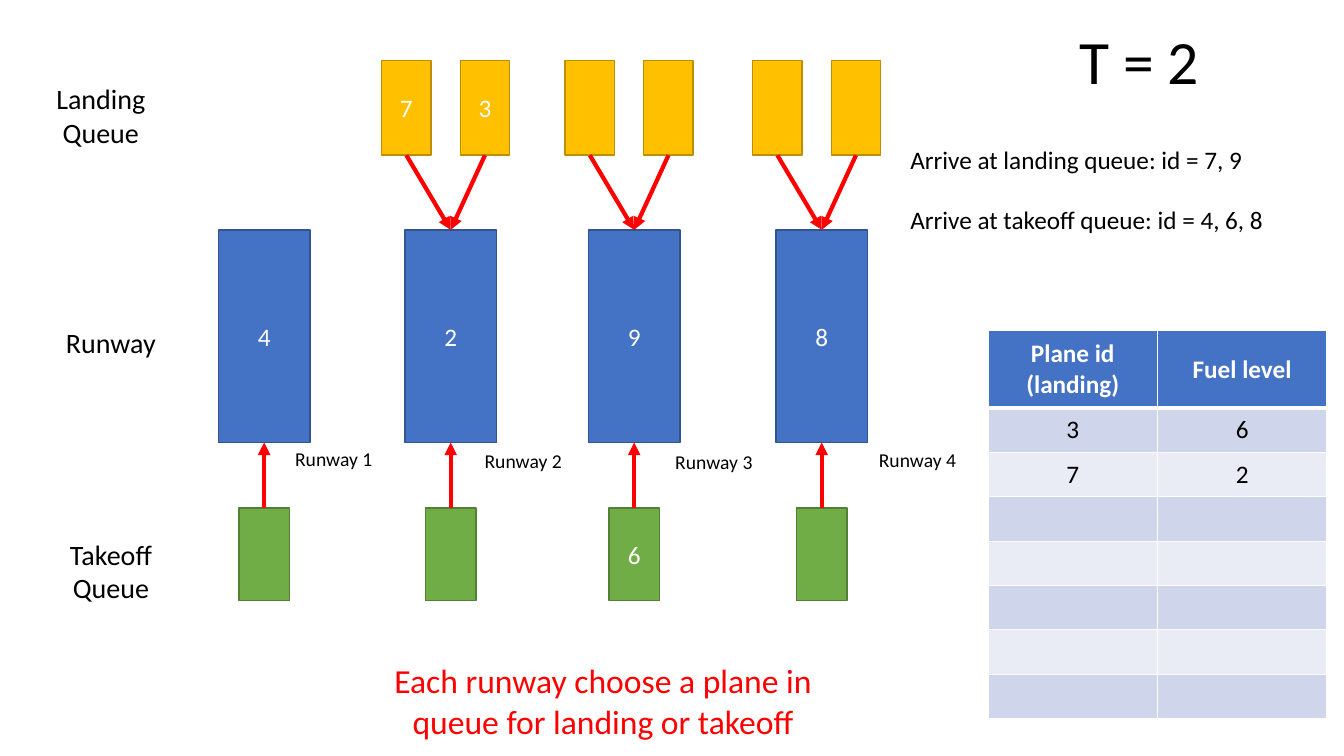
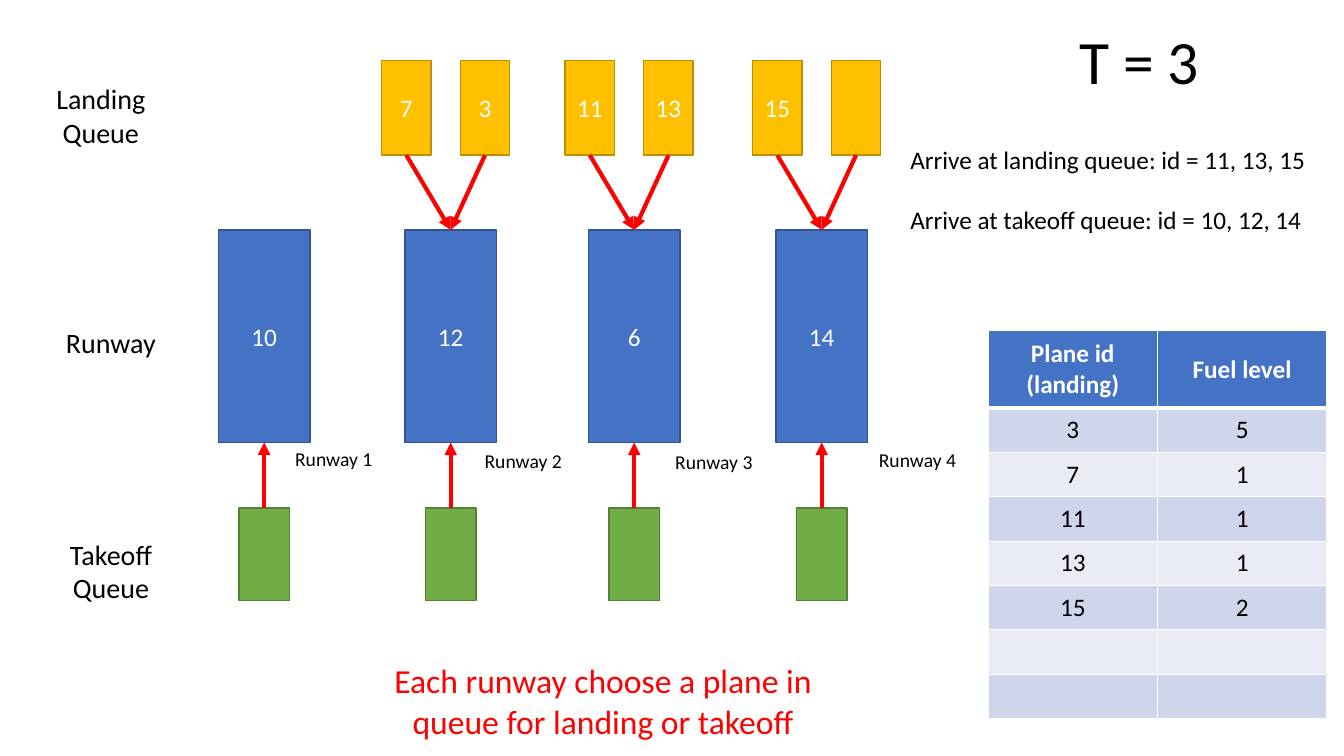
"""Build two slides that step through an airport runway queue simulation."""
from dataclasses import dataclass

from lxml.etree import SubElement
from pptx import Presentation
from pptx.dml.color import RGBColor
from pptx.enum.shapes import MSO_CONNECTOR as Connector, MSO_SHAPE as Shape
from pptx.enum.text import MSO_ANCHOR as Anchor, MSO_AUTO_SIZE as AutoSize, PP_ALIGN as Align
from pptx.oxml.ns import qn
from pptx.util import Inches, Pt


@dataclass(frozen=True)
class Theme:
    """Colours, type sizes and line widths of the deck."""
    font: str = "Calibri"
    black: str = "000000"
    white: str = "FFFFFF"
    red: str = "FF0000"
    runway: tuple = ("4472C4", "325491")
    landing: tuple = ("FFC000", "BD8E00")
    takeoff: tuple = ("70AD47", "538035")
    row_fills: tuple = ("CFD5EA", "E9EBF5")
    title: int = 44
    note: int = 24
    label: int = 20
    body: int = 18
    caption: int = 14
    outline: int = 1
    arrow: int = 3


@dataclass(frozen=True)
class Step:
    """State of the queues and runways at one moment."""
    title: str
    runways: tuple
    landing: tuple
    takeoff: tuple
    landing_ids: str
    takeoff_ids: str
    fuel: tuple


THEME = Theme()
RUNWAY_CENTERS = (2.62, 4.47, 6.29, 8.15)
RUNWAY_CAPTIONS = ((2.55, 4.38), (4.43, 4.4), (6.32, 4.41), (8.34, 4.39))
LANDING_OFFSETS = (-0.44, 0.34)
ROW_LABELS = (("Landing Queue", 0.24, 0.76, 0.77),
              ("Runway", 0.34, 3.18, 0.44),
              ("Takeoff Queue", 0.34, 5.28, 0.77))
LABEL_WIDTH = 1.52
FUEL_HEADER = ("Plane id\n(landing)", "Fuel level")
FUEL_ROWS = 7
NOTE = "Each runway choose a plane in queue for landing or takeoff"

STEPS = (
    Step("T = 2", ("4", "2", "9", "8"),
         ((), ("7", "3"), ("", ""), ("", "")), ("", "", "6", ""),
         "7, 9", "4, 6, 8", (("3", "6"), ("7", "2"))),
    Step("T = 3", ("10", "12", "6", "14"),
         ((), ("7", "3"), ("11", "13"), ("15", "")), ("", "", "", ""),
         "11, 13, 15", "10, 12, 14",
         (("3", "5"), ("7", "1"), ("11", "1"), ("13", "1"), ("15", "2"))),
)


def color(value):
    """Turn a hex value into a colour."""
    return RGBColor.from_string(value)


def write(frame, text, size=THEME.body, ink=THEME.black, bold=False, align=Align.CENTER):
    """Write text into a frame, one paragraph a line."""
    for index, line in enumerate(text.split("\n")):
        para = frame.add_paragraph() if index else frame.paragraphs[0]
        para.alignment = align
        span = para.add_run()
        span.text = line
        span.font.name = THEME.font
        span.font.size = Pt(size)
        span.font.bold = bold
        span.font.color.rgb = color(ink)


def add_label(slide, text, left, top, width, height, **style):
    """Add a wrapped text box."""
    box = slide.shapes.add_textbox(*map(Inches, (left, top, width, height)))
    box.text_frame.word_wrap = True
    box.text_frame.auto_size = AutoSize.SHAPE_TO_FIT_TEXT
    write(box.text_frame, text, **style)


def add_title(slide, text):
    """Place and format the title placeholder."""
    title = slide.shapes.title
    title.left, title.top, title.width, title.height = map(
        Inches, (10.54, 0.18, LABEL_WIDTH, 0.84))
    frame = title.text_frame
    frame.word_wrap = True
    frame.auto_size = AutoSize.NONE
    frame.vertical_anchor = Anchor.TOP
    write(frame, text, size=THEME.title)


def add_plane_box(slide, plane, center, top, width, height, colors):
    """Add a rectangle that may hold a plane id."""
    fill, line = colors
    box = slide.shapes.add_shape(
        Shape.RECTANGLE, *map(Inches, (center - width / 2, top, width, height)))
    box.shadow.inherit = False
    box.fill.solid()
    box.fill.fore_color.rgb = color(fill)
    box.line.color.rgb = color(line)
    box.line.width = Pt(THEME.outline)
    box.text_frame.vertical_anchor = Anchor.MIDDLE
    if plane:
        write(box.text_frame, plane, ink=THEME.white)
    return box


def add_arrow(slide, source, source_site, target, target_site):
    """Connect two boxes with a red arrow."""
    arrow = slide.shapes.add_connector(Connector.STRAIGHT, 0, 0, 0, 0)
    arrow.begin_connect(source, source_site)
    arrow.end_connect(target, target_site)
    arrow.line.color.rgb = color(THEME.red)
    arrow.line.width = Pt(THEME.arrow)
    properties = arrow.element.spPr
    SubElement(properties.find(qn("a:ln")), qn("a:tailEnd"), type="triangle")
    SubElement(properties, qn("a:effectLst"))


def add_lane(slide, center, runway, landing, takeoff):
    """Add one runway with its queues and arrows."""
    top_site, bottom_site = 0, 2
    strip = add_plane_box(slide, runway, center, 2.28, 0.91, 2.11, THEME.runway)
    for plane, offset in zip(landing, LANDING_OFFSETS):
        box = add_plane_box(slide, plane, center + offset, 0.6, 0.49, 0.94, THEME.landing)
        add_arrow(slide, box, bottom_site, strip, top_site)
    box = add_plane_box(slide, takeoff, center, 5.04, 0.5, 0.92, THEME.takeoff)
    add_arrow(slide, box, top_site, strip, bottom_site)


def set_borders(cell, top, bottom):
    """Give a cell white borders of the given top and bottom widths."""
    properties = cell._tc.get_or_add_tcPr()
    for side, width in (("L", 1), ("R", 1), ("T", top), ("B", bottom)):
        line = SubElement(properties, qn(f"a:ln{side}"), w=str(Pt(width)))
        SubElement(SubElement(line, qn("a:solidFill")), qn("a:srgbClr"), val=THEME.white)


def add_fuel_table(slide, fuel):
    """Add the table of fuel levels, with spare rows left empty."""
    rows = (FUEL_HEADER, *fuel, *[("", "")] * (FUEL_ROWS - len(fuel)))
    table = slide.shapes.add_table(
        len(rows), 2, *map(Inches, (9.8, 3.28, 3.36, 3.87))).table
    for index, values in enumerate(rows):
        header = index == 0
        table.rows[index].height = Inches(0.77 if header else 0.44)
        for column, value in enumerate(values):
            cell = table.cell(index, column)
            set_borders(cell, top=3 if index == 1 else 1, bottom=3 if header else 1)
            cell.fill.solid()
            cell.fill.fore_color.rgb = color(
                THEME.runway[0] if header else THEME.row_fills[(index - 1) % 2])
            cell.vertical_anchor = Anchor.MIDDLE
            if value:
                write(cell.text_frame, value, bold=header,
                      ink=THEME.white if header else THEME.black)


def add_step(deck, step):
    """Add the slide for one moment."""
    slide = deck.slides.add_slide(deck.slide_layouts.get_by_name("Title Only"))
    add_title(slide, step.title)
    for lane in zip(RUNWAY_CENTERS, step.runways, step.landing, step.takeoff):
        add_lane(slide, *lane)
    for text, left, top, height in ROW_LABELS:
        add_label(slide, text, left, top, LABEL_WIDTH, height, size=THEME.label)
    for number, (left, top) in enumerate(RUNWAY_CAPTIONS, start=1):
        add_label(slide, f"Runway {number}", left, top, LABEL_WIDTH, 0.34,
                  size=THEME.caption)
    add_fuel_table(slide, step.fuel)
    arrivals = (("landing", step.landing_ids, 1.38), ("takeoff", step.takeoff_ids, 1.98))
    for queue, planes, top in arrivals:
        add_label(slide, f"Arrive at {queue} queue: id = {planes}", 8.93, top, 4.23, 0.4,
                  align=Align.LEFT)
    add_label(slide, NOTE, 3.62, 6.5, 4.72, 0.91, size=THEME.note, ink=THEME.red)


def main():
    """Build and save the deck."""
    deck = Presentation()
    deck.slide_width, deck.slide_height = Inches(13.33), Inches(7.5)
    for step in STEPS:
        add_step(deck, step)
    deck.save("out.pptx")


if __name__ == "__main__":
    main()
